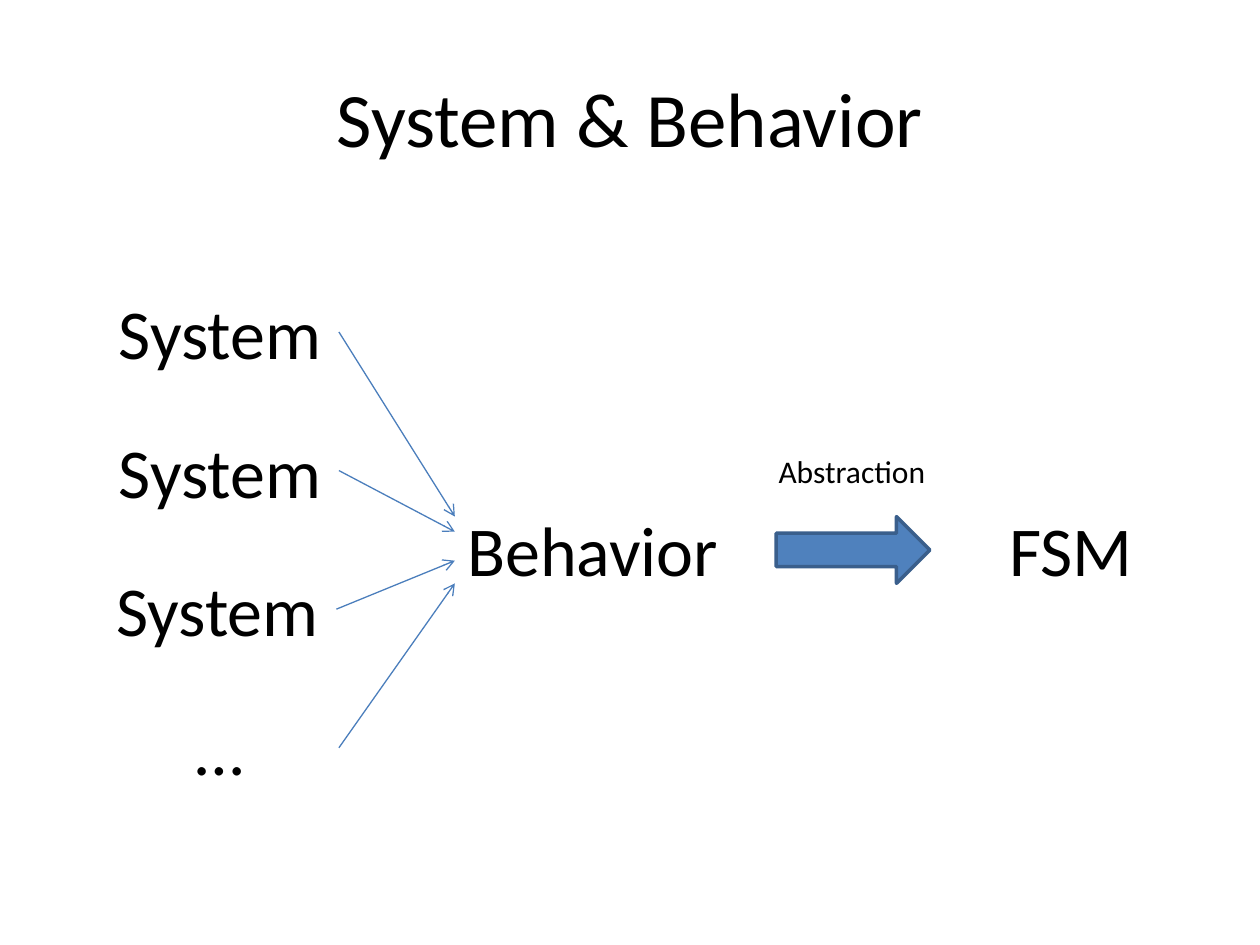
from lxml import etree
from pptx import Presentation
from pptx import util as u
from pptx.dml.color import RGBColor
from pptx.enum import shapes, text
from pptx.oxml.ns import qn

COLORS = {"text": "000000", "arrow": "4F81BD", "outline": "3A5F8C", "link": "4B7EBC"}
FONT = "Calibri"
LABEL_HEIGHT = 0.77


def color(name):
    """Return the named palette colour."""
    return RGBColor.from_string(COLORS[name])


def format_text(frame, content, size, align):
    """Fill a text frame with one formatted paragraph."""
    paragraph = frame.paragraphs[0]
    paragraph.text = content
    paragraph.alignment = align
    paragraph.font.size = u.Pt(size)
    paragraph.font.name = FONT
    paragraph.font.color.rgb = color("text")


def add_title(slide, box, content):
    """Place the title placeholder in its box."""
    title = slide.shapes.title
    title.left, title.top, title.width, title.height = map(u.Inches, box)
    title.text_frame.vertical_anchor = text.MSO_ANCHOR.MIDDLE
    format_text(title.text_frame, content, 44, text.PP_ALIGN.CENTER)


def add_label(slide, box, content, size=40, align=text.PP_ALIGN.LEFT, wrap=False):
    """Add a text label in its box."""
    label = slide.shapes.add_textbox(*map(u.Inches, box))
    label.text_frame.word_wrap = wrap
    label.text_frame.auto_size = text.MSO_AUTO_SIZE.SHAPE_TO_FIT_TEXT
    format_text(label.text_frame, content, size, align)


def add_link(slide, start, end):
    """Add a thin line with an open arrowhead at its end."""
    link = slide.shapes.add_connector(
        shapes.MSO_CONNECTOR.STRAIGHT, *map(u.Inches, start + end))
    link.line.color.rgb = color("link")
    link.line.width = u.Pt(0.75)
    etree.SubElement(link.line._get_or_add_ln(), qn("a:tailEnd"), type="arrow")
    etree.SubElement(link._element.spPr, qn("a:effectLst"))


def add_systems(slide, box, target_x, target_ys):
    """Stack the systems in equal rows and link each to the behavior."""
    left, top, width, height = box
    rows = [("System", 0), ("System", 0), ("System", -0.02), ("…", 0)]
    pitch = (height - LABEL_HEIGHT) / (len(rows) - 1)
    for index, ((content, shift), target_y) in enumerate(zip(rows, target_ys)):
        x, y = left + shift, top + index * pitch
        add_label(slide, (x, y, width, LABEL_HEIGHT), content,
                  align=text.PP_ALIGN.CENTER, wrap=True)
        add_link(slide, (x + width, y + LABEL_HEIGHT / 2), (target_x, target_y))


def add_abstraction(slide, box):
    """Place behavior, captioned block arrow and FSM along a row."""
    left, top, width, height = box
    add_label(slide, (left, top, 2.21, height), "Behavior")
    add_label(slide, (left + width - 1.19, top, 1.19, height), "FSM")
    add_label(slide, (left + 0.45 * width, top - 0.43, 1.38, 0.4), "Abstraction", 18)
    arrow = slide.shapes.add_shape(
        shapes.MSO_SHAPE.RIGHT_ARROW,
        *map(u.Inches, (left + 2.55, top + 0.13, 1.22, 0.53)))
    arrow.shadow.inherit = False
    arrow.fill.solid()
    arrow.fill.fore_color.rgb = color("arrow")
    arrow.line.color.rgb = color("outline")
    arrow.line.width = u.Pt(2)


def main():
    """Build and save the slide."""
    presentation = Presentation()
    presentation.slide_width, presentation.slide_height = u.Inches(10), u.Inches(7.5)
    slide = presentation.slides.add_slide(presentation.slide_layouts[5])
    add_title(slide, (0.5, 0.3, 9, 1.25), "System & Behavior")
    add_systems(slide, (0.8, 2.25, 1.89, 4.07), 3.61, (4.1, 4.22, 4.45, 4.63))
    add_abstraction(slide, (3.61, 3.97, 5.49, LABEL_HEIGHT))
    presentation.save("out.pptx")


if __name__ == "__main__":
    main()
